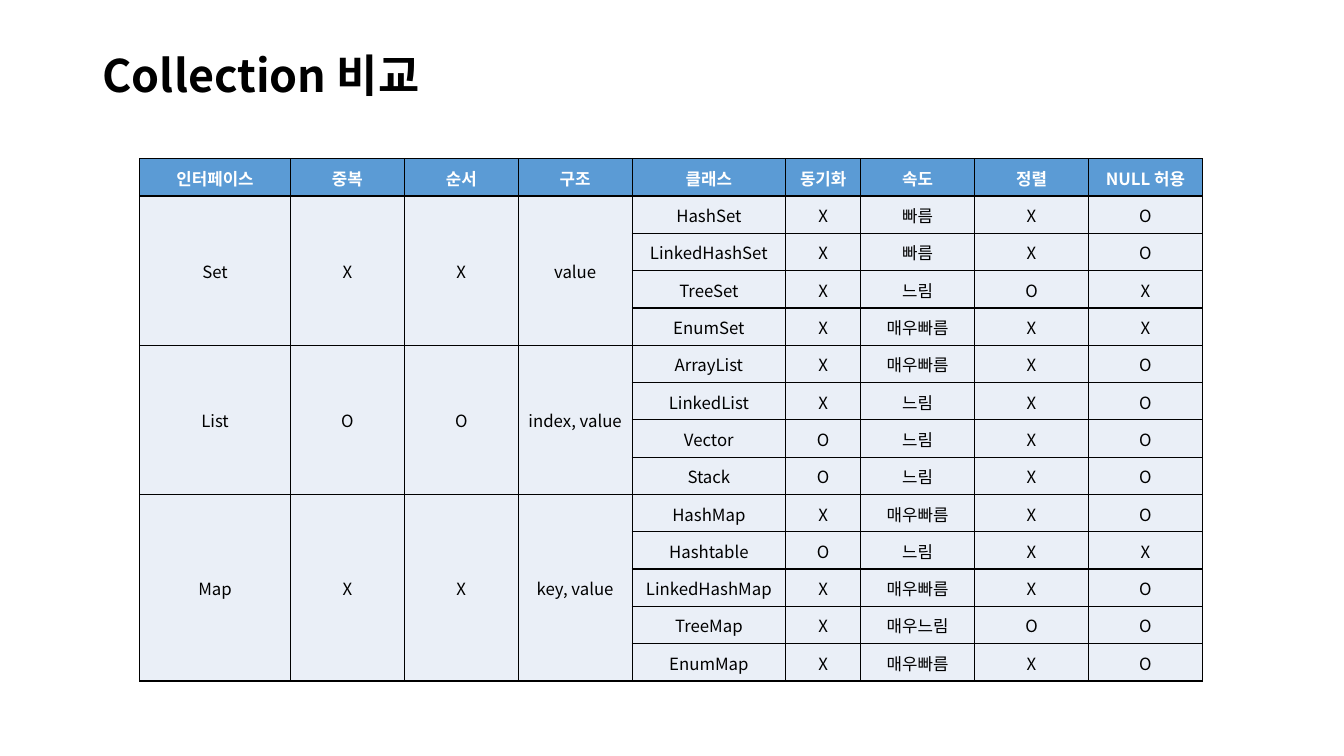
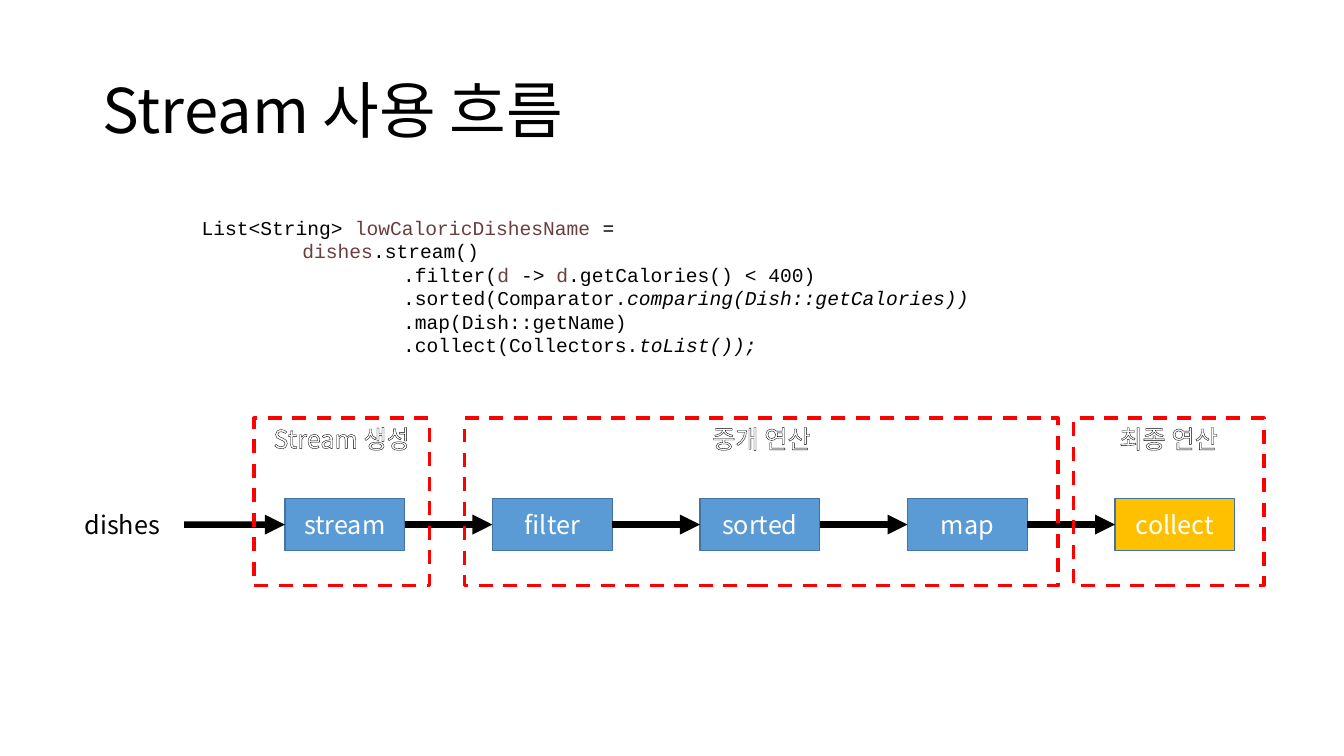
from itertools import pairwise

from lxml.etree import SubElement
from pptx import Presentation
from pptx.dml.color import RGBColor
from pptx.enum.dml import MSO_LINE
from pptx.enum.shapes import MSO_CONNECTOR, MSO_SHAPE
from pptx.enum.text import MSO_ANCHOR, MSO_AUTO_SIZE, PP_ALIGN
from pptx.oxml import parse_xml
from pptx.oxml.ns import nsdecls, qn
from pptx.util import Cm, Pt

COLORS = {
    "ink": "000000",
    "paper": "FFFFFF",
    "blue": "5B9BD5",
    "blue_edge": "43739E",
    "pale": "EAEFF7",
    "amber": "FFC000",
    "red": "FF0000",
    "variable": "6A3E3E",
}
FONT = "Noto Sans CJK KR"
CODE_FONT = "Courier New"
TITLE_ONLY = 5
RIGHT_SITE, LEFT_SITE = 3, 1

HEADERS = ["인터페이스", "중복", "순서", "구조", "클래스", "동기화", "속도", "정렬", "NULL 허용"]
COLUMN_WIDTHS = [3.8, 2.87, 2.87, 2.87, 3.87, 1.89, 2.87, 2.87, 2.87]
GROUPS = [
    (["Set", "X", "X", "value"], [
        ["HashSet", "X", "빠름", "X", "O"],
        ["LinkedHashSet", "X", "빠름", "X", "O"],
        ["TreeSet", "X", "느림", "O", "X"],
        ["EnumSet", "X", "매우빠름", "X", "X"],
    ]),
    (["List", "O", "O", "index, value"], [
        ["ArrayList", "X", "매우빠름", "X", "O"],
        ["LinkedList", "X", "느림", "X", "O"],
        ["Vector", "O", "느림", "X", "O"],
        ["Stack", "O", "느림", "X", "O"],
    ]),
    (["Map", "X", "X", "key, value"], [
        ["HashMap", "X", "매우빠름", "X", "O"],
        ["Hashtable", "O", "느림", "X", "X"],
        ["LinkedHashMap", "X", "매우빠름", "X", "O"],
        ["TreeMap", "X", "매우느림", "O", "O"],
        ["EnumMap", "X", "매우빠름", "X", "O"],
    ]),
]

CODE_LINES = [
    (0, [("List<String> ", ""), ("lowCaloricDishesName", "variable"), (" =", "")]),
    (1, [("dishes", "variable"), (".stream()", "")]),
    (2, [(".filter(", ""), ("d", "variable"), (" -> ", ""), ("d", "variable"),
         (".getCalories() < 400)", "")]),
    (2, [(".sorted(Comparator.", ""), ("comparing(Dish::getCalories))", "italic")]),
    (2, [(".map(Dish::getName)", "")]),
    (2, [(".collect(Collectors.", ""), ("toList());", "italic")]),
]

STEPS = [("stream", "blue"), ("filter", "blue"), ("sorted", "blue"), ("map", "blue"),
         ("collect", "amber")]
STAGES = [("Stream 생성", 4.52, 4.42), ("중개 연산", 9.83, 14.96), ("최종 연산", 25.17, 4.8)]


def color(name):
    """Return a palette colour."""
    return RGBColor.from_string(COLORS[name])


def style(para, size, ink="ink", bold=False, align=PP_ALIGN.LEFT, font=FONT):
    """Format a whole paragraph."""
    para.alignment = align
    para.font.size = Pt(size)
    para.font.bold = bold
    para.font.color.rgb = color(ink)
    para.font.name = font
    properties = para._p.get_or_add_pPr().get_or_add_defRPr()
    SubElement(properties, qn("a:ea")).set("typeface", font)


def add_title(page, text, top, size, bold=False):
    """Place and format the title placeholder."""
    title = page.shapes.title
    title.left, title.top, title.width, title.height = Cm(2.33), Cm(top), Cm(29.21), Cm(3.68)
    frame = title.text_frame
    frame.text = text
    frame.auto_size = MSO_AUTO_SIZE.NONE
    frame.vertical_anchor = MSO_ANCHOR.MIDDLE
    para = frame.paragraphs[0]
    style(para, size, bold=bold)
    para.line_spacing = 0.9


def format_cell(cell, is_header):
    """Format the text, fill and borders of a table cell."""
    cell.vertical_anchor = MSO_ANCHOR.MIDDLE
    cell.margin_left = cell.margin_right = cell.margin_top = Cm(0.03)
    cell.margin_bottom = 0
    style(cell.text_frame.paragraphs[0], 12, "paper" if is_header else "ink",
          is_header, PP_ALIGN.CENTER)
    properties = cell._tc.get_or_add_tcPr()
    for side in ("lnL", "lnR", "lnT", "lnB"):
        properties.append(parse_xml(
            f'<a:{side} {nsdecls("a")} w="{Pt(1)}"><a:solidFill>'
            f'<a:srgbClr val="{COLORS["ink"]}"/></a:solidFill></a:{side}>'))
    cell.fill.solid()
    cell.fill.fore_color.rgb = color("blue" if is_header else "pale")


def add_comparison(page, left, top, row_height):
    """Draw the collection table with merged interface cells."""
    row_count = 1 + sum(len(classes) for _, classes in GROUPS)
    table = page.shapes.add_table(
        row_count, len(HEADERS), Cm(left), Cm(top),
        Cm(sum(COLUMN_WIDTHS)), Cm(row_height * row_count)).table
    for column, width in zip(table.columns, COLUMN_WIDTHS):
        column.width = Cm(width)
    for row in table.rows:
        row.height = Cm(row_height)
    for index, header in enumerate(HEADERS):
        table.cell(0, index).text = header
    first = 1
    for shared, classes in GROUPS:
        last = first + len(classes) - 1
        for index, value in enumerate(shared):
            table.cell(first, index).text = value
            table.cell(first, index).merge(table.cell(last, index))
        for row_index, values in enumerate(classes, first):
            for index, value in enumerate(values, len(shared)):
                table.cell(row_index, index).text = value
        first = last + 1
    for row_index, row in enumerate(table.rows):
        for cell in row.cells:
            format_cell(cell, row_index == 0)


def add_code(page, left, top, width, height):
    """Write the code listing with indented lines."""
    frame = page.shapes.add_textbox(Cm(left), Cm(top), Cm(width), Cm(height)).text_frame
    frame.word_wrap = True
    for index, (depth, spans) in enumerate(CODE_LINES):
        para = frame.add_paragraph() if index else frame.paragraphs[0]
        style(para, 14, font=CODE_FONT)
        para._p.get_or_add_pPr().set("marL", str(Cm(2.54) * depth))
        for text, kind in spans:
            span = para.add_run()
            span.text = text
            if kind == "variable":
                span.font.color.rgb = color("variable")
            elif kind == "italic":
                span.font.italic = True


def add_box(page, text, left, top, width, height, edge, weight, fill=None):
    """Draw a rectangle with centred white text."""
    box = page.shapes.add_shape(MSO_SHAPE.RECTANGLE, Cm(left), Cm(top), Cm(width), Cm(height))
    box.shadow.inherit = False
    if fill:
        box.fill.solid()
        box.fill.fore_color.rgb = color(fill)
    else:
        box.fill.background()
    box.line.color.rgb = color(edge)
    box.line.width = Pt(weight)
    box.text_frame.text = text
    box.text_frame.vertical_anchor = MSO_ANCHOR.MIDDLE
    style(box.text_frame.paragraphs[0], 18, "paper", align=PP_ALIGN.CENTER)
    return box


def add_source(page, text, left, top, width, height):
    """Write the name of the data that enters the flow."""
    label = page.shapes.add_textbox(Cm(left), Cm(top), Cm(width), Cm(height))
    label.text_frame.word_wrap = True
    label.text_frame.text = text
    label.text_frame.vertical_anchor = MSO_ANCHOR.MIDDLE
    style(label.text_frame.paragraphs[0], 18)
    return label


def add_arrow(page, start, end):
    """Join two shapes with a thick arrow."""
    arrow = page.shapes.add_connector(MSO_CONNECTOR.STRAIGHT, 0, 0, 0, 0)
    arrow.begin_connect(start, RIGHT_SITE)
    arrow.end_connect(end, LEFT_SITE)
    arrow.line.color.rgb = color("ink")
    arrow.line.width = Pt(4.75)
    SubElement(arrow.line._get_or_add_ln(), qn("a:tailEnd")).set("type", "triangle")
    SubElement(arrow._element.spPr, qn("a:effectLst"))


def add_stage(page, text, left, top, width, height):
    """Draw a dashed frame with an outlined caption."""
    frame = add_box(page, text, left, top, width, height, "red", 2.5)
    frame.line.dash_style = MSO_LINE.DASH
    frame.text_frame.vertical_anchor = MSO_ANCHOR.TOP
    properties = frame.text_frame.paragraphs[0]._p.get_or_add_pPr().get_or_add_defRPr()
    properties.insert(0, parse_xml(
        f'<a:ln {nsdecls("a")} w="{Pt(0.75)}"><a:solidFill>'
        f'<a:srgbClr val="{COLORS["ink"]}"/></a:solidFill></a:ln>'))


def add_flow(page, left, top, height):
    """Draw the stream steps, their arrows and the stage frames."""
    step_top, step_height, pitch = top + 2.03, 1.3, 5.23
    label_height = 1.02
    label_top = step_top + (step_height - label_height) / 2
    stops = [add_source(page, "dishes", left, label_top, 2.76, label_height)]
    for index, (text, fill) in enumerate(STEPS):
        stops.append(add_box(page, text, left + 5.3 + index * pitch, step_top,
                             3.02, step_height, "blue_edge", 1, fill))
    for start, end in pairwise(stops):
        add_arrow(page, start, end)
    for text, offset, width in STAGES:
        add_stage(page, text, left + offset, top, width, height)


def build_comparison_page(deck):
    """Build the collection comparison slide."""
    page = deck.slides.add_slide(deck.slide_layouts[TITLE_ONLY])
    add_title(page, "Collection 비교", 0.13, 32, bold=True)
    add_comparison(page, 3.52, 4, 0.94)


def build_stream_page(deck):
    """Build the stream flow slide."""
    page = deck.slides.add_slide(deck.slide_layouts[TITLE_ONLY])
    add_title(page, "Stream 사용 흐름", 1.01, 44)
    add_code(page, 4.83, 5.31, 23.06, 3.84)
    add_flow(page, 1.88, 10.54, 4.22)


def main():
    """Build and save the deck."""
    deck = Presentation()
    deck.slide_width, deck.slide_height = Cm(33.87), Cm(19.05)
    build_comparison_page(deck)
    build_stream_page(deck)
    deck.save("out.pptx")


if __name__ == "__main__":
    main()
